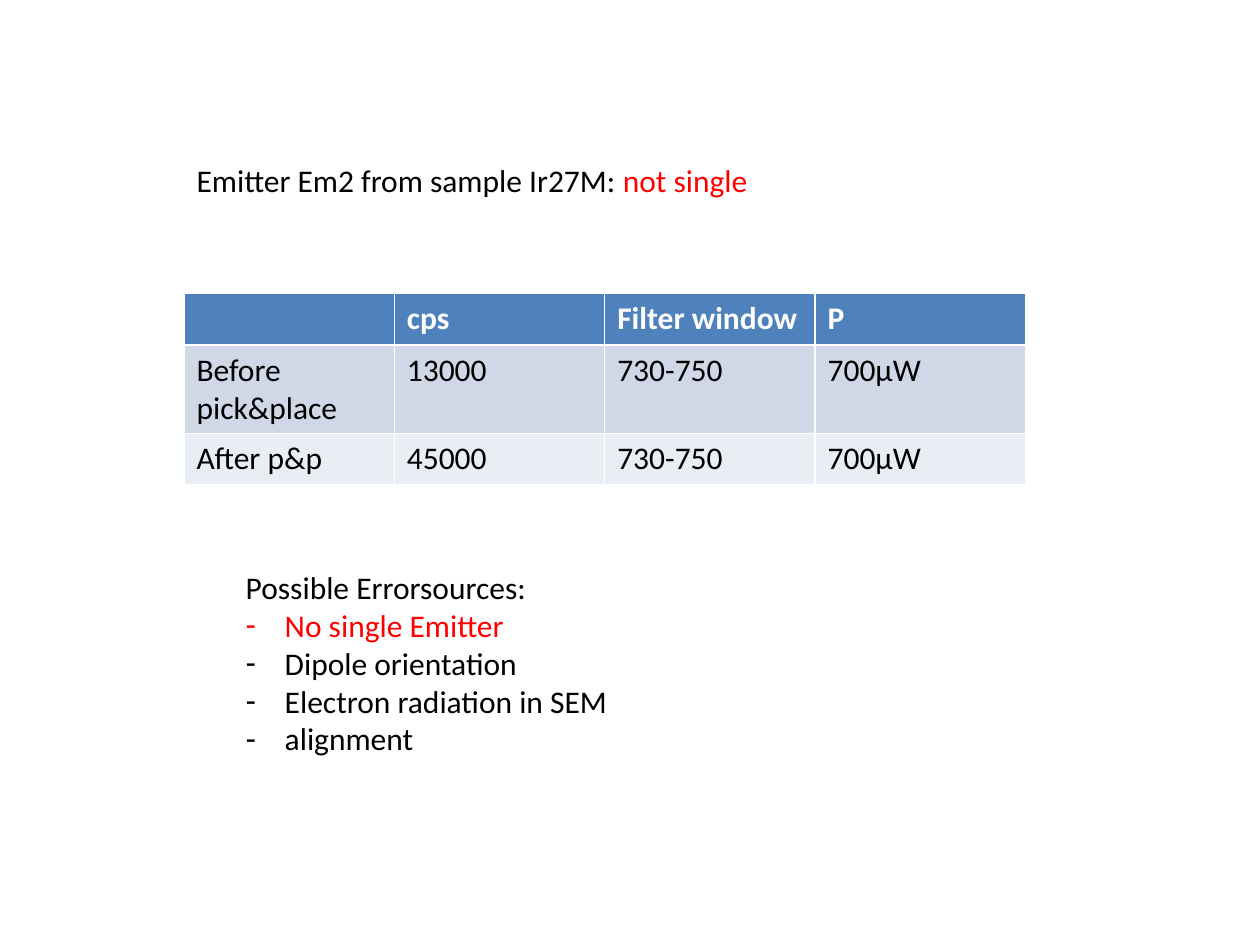
"""Build the slide comparing an emitter before and after pick and place."""
from lxml.etree import SubElement
from pptx import Presentation
from pptx.dml.color import RGBColor
from pptx.enum.text import MSO_ANCHOR, MSO_AUTO_SIZE, PP_ALIGN
from pptx.oxml.ns import qn
from pptx.util import Inches, Pt

BLACK, RED, WHITE = "000000", "FF0000", "FFFFFF"
HEADLINE = [("Emitter Em2 from sample Ir27M: ", BLACK), ("not single", RED)]
MEASUREMENTS = [
    ["", "cps", "Filter window ", "P"],
    ["Before pick&place", "13000", "730-750", "700µW"],
    ["After p&p", "45000", "730-750", "700µW"],
]
ROW_FILLS = ["4F81BD", "D0D8E8", "E9EDF4"]
ERRORS_HEADING = "Possible Errorsources:"
ERROR_SOURCES = [
    ("No single Emitter", RED),
    ("Dipole orientation", BLACK),
    ("Electron radiation in SEM", BLACK),
    ("alignment", BLACK),
]
COLUMN_WIDTH, ROW_HEIGHT, BULLET_INDENT = Inches(1.67), Inches(0.41), Inches(0.31)


def rgb(value):
    """Turn a hex string into a colour."""
    return RGBColor.from_string(value)


def style(font, colour, bold=False):
    """Apply the slide's common text format."""
    font.name, font.size, font.bold = "Calibri", Pt(18), bold
    font.color.rgb = rgb(colour)


def place(holder, left, top, width, height, wrap):
    """Move a placeholder and make its text start at the top."""
    holder.left, holder.top = Inches(left), Inches(top)
    holder.width, holder.height = Inches(width), Inches(height)
    frame = holder.text_frame
    frame.auto_size = MSO_AUTO_SIZE.SHAPE_TO_FIT_TEXT
    frame.vertical_anchor = MSO_ANCHOR.TOP
    frame.word_wrap = wrap
    return frame


def set_bullet(paragraph, mark):
    """Give a paragraph a hanging bullet, or none when mark is empty."""
    properties = paragraph._p.get_or_add_pPr()
    indent = BULLET_INDENT if mark else 0
    properties.set("marL", str(indent))
    properties.set("indent", str(-indent))
    if mark:
        SubElement(properties, qn("a:buFontTx"))
        SubElement(properties, qn("a:buChar"), char=mark)
    else:
        SubElement(properties, qn("a:buNone"))


deck = Presentation()
deck.slide_width, deck.slide_height = Inches(10), Inches(7.5)
slide = deck.slides.add_slide(deck.slide_layouts[1])
title, body = slide.placeholders

headline = place(title, 1.46, 1.23, 4.63, 0.4, False).paragraphs[0]
headline.alignment = PP_ALIGN.LEFT
for text, colour in HEADLINE:
    run = headline.add_run()
    run.text = text
    style(run.font, colour)

columns = len(MEASUREMENTS[0])
table = slide.shapes.add_table(
    len(MEASUREMENTS), columns, Inches(1.46), Inches(2.33),
    COLUMN_WIDTH * columns, ROW_HEIGHT * len(MEASUREMENTS)).table
for row, (values, fill) in enumerate(zip(MEASUREMENTS, ROW_FILLS)):
    header = row == 0
    for column, value in enumerate(values):
        cell = table.cell(row, column)
        cell.fill.solid()
        cell.fill.fore_color.rgb = rgb(fill)
        cell.text_frame.text = value
        for run in cell.text_frame.paragraphs[0].runs:
            style(run.font, WHITE if header else BLACK, header)

errors = place(body, 1.85, 4.46, 4.23, 1.62, True)
lines = [(ERRORS_HEADING, BLACK, "")] + [(*source, "-") for source in ERROR_SOURCES]
errors.text = "\n".join(text for text, _, _ in lines)
for paragraph, (_, colour, mark) in zip(errors.paragraphs, lines):
    paragraph.space_before = Pt(0)
    set_bullet(paragraph, mark)
    style(paragraph.runs[0].font, colour)

deck.save("out.pptx")
